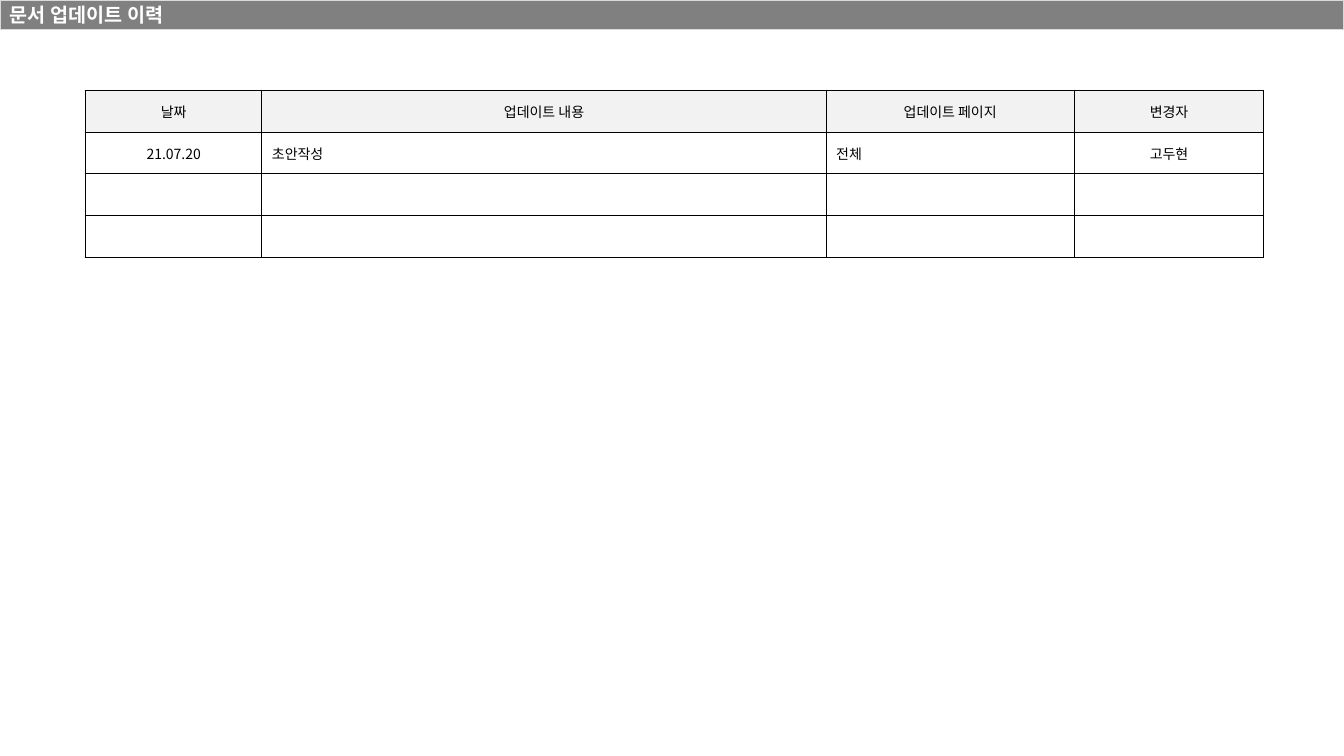
from lxml import etree
from pptx import Presentation
from pptx.dml.color import RGBColor
from pptx.enum import shapes, text
from pptx.oxml import ns
from pptx.util import Cm, Pt

FONT = "Noto Sans CJK KR"
WIDE, HIGH = 33.87, 19.05
COLS = [4.45, 14.22, 6.25, 4.78]
ROWS = [
    ["날짜", "업데이트 내용", "업데이트 페이지", "변경자"],
    ["21.07.20", "초안작성", "전체", "고두현"],
    [""] * 4,
    [""] * 4,
]


def color(code):
    """Turn a hex string into a colour."""
    return RGBColor.from_string(code)


def write(frame, words, size, code, bold=False, align=text.PP_ALIGN.LEFT):
    """Add one styled run to the first paragraph of a frame."""
    para = frame.paragraphs[0]
    para.alignment = align
    run = para.add_run()
    run.text = words
    run.font.name = FONT
    run.font.size = Pt(size)
    run.font.bold = bold
    run.font.color.rgb = color(code)
    props = run._r.get_or_add_rPr()
    etree.SubElement(props, ns.qn("a:ea"), typeface=FONT)


def border(cell, code, width):
    """Draw a solid line on all four sides of a cell."""
    props = cell._tc.get_or_add_tcPr()
    for side in "LRTB":
        line = etree.SubElement(props, ns.qn("a:ln" + side), w=str(Pt(width)))
        fill = etree.SubElement(line, ns.qn("a:solidFill"))
        etree.SubElement(fill, ns.qn("a:srgbClr"), val=code)


def header(slide, left, top, width, height):
    """Place the title bar."""
    bar = slide.shapes.add_shape(
        shapes.MSO_SHAPE.RECTANGLE, Cm(left), Cm(top), Cm(width), Cm(height))
    bar.shadow.inherit = False
    bar.fill.solid()
    bar.fill.fore_color.rgb = color("808080")
    bar.line.color.rgb = color("D9D9D9")
    bar.line.width = Pt(1)
    bar.text_frame.vertical_anchor = text.MSO_ANCHOR.MIDDLE
    write(bar.text_frame, "문서 업데이트 이력", 14, "FFFFFF", bold=True)


def history(slide, left, top, width, height):
    """Place the table of document updates."""
    table = slide.shapes.add_table(
        len(ROWS), len(COLS), Cm(left), Cm(top), Cm(width), Cm(height)).table
    for col, size in zip(table.columns, COLS):
        col.width = Cm(size)
    for i, row in enumerate(ROWS):
        table.rows[i].height = Cm(height / len(ROWS))
        for j, words in enumerate(row):
            cell = table.cell(i, j)
            border(cell, "000000", 1)
            cell.fill.solid()
            cell.fill.fore_color.rgb = color("FFFFFF" if i else "F2F2F2")
            cell.vertical_anchor = text.MSO_ANCHOR.MIDDLE
            mid = i == 0 or j in (0, 3)
            align = text.PP_ALIGN.CENTER if mid else text.PP_ALIGN.LEFT
            write(cell.text_frame, words, 10, "000000", align=align)


def main():
    """Build and save the slide."""
    deck = Presentation()
    deck.slide_width, deck.slide_height = Cm(WIDE), Cm(HIGH)
    slide = deck.slides.add_slide(deck.slide_layouts[6])
    header(slide, 0, 0, WIDE, 0.74)
    history(slide, 2.15, 2.28, sum(COLS), 4.2)
    deck.save("out.pptx")


main()
